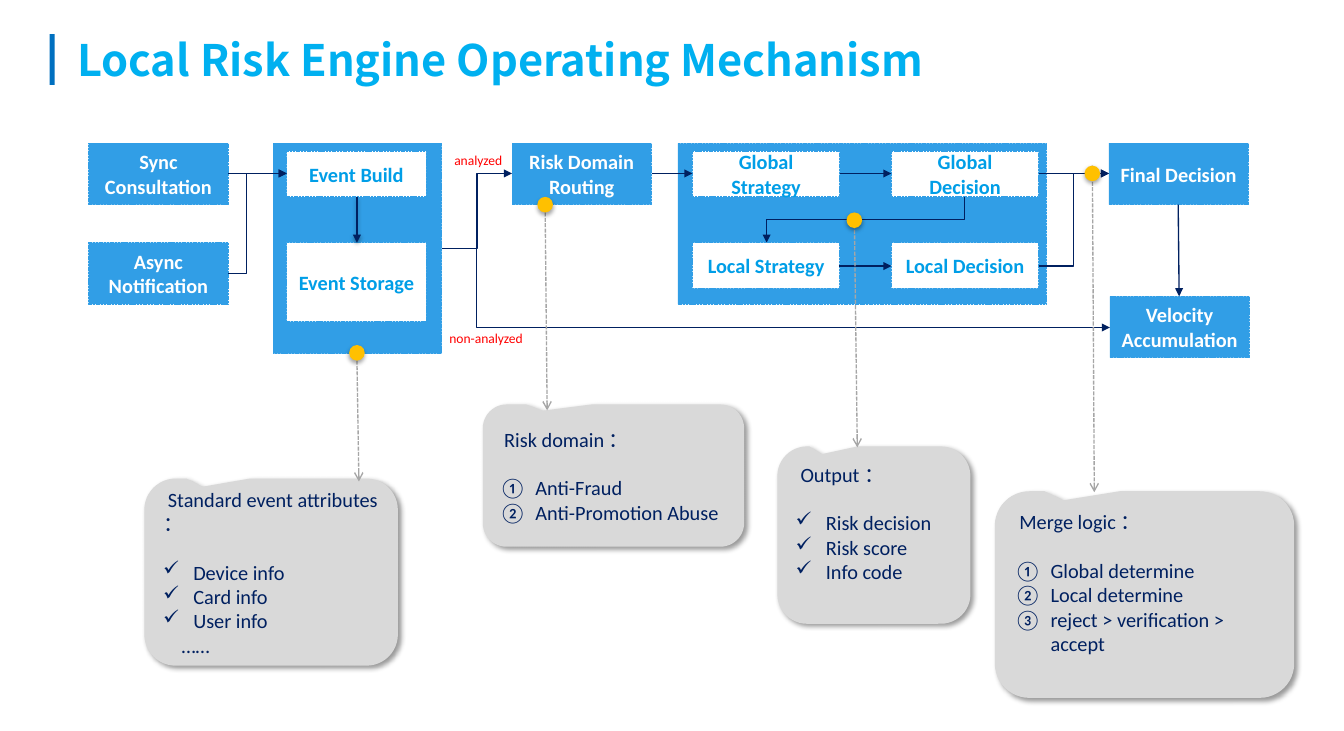
from lxml import etree
from pptx import Presentation
from pptx.dml.color import RGBColor
from pptx.enum.dml import MSO_LINE
from pptx.enum.shapes import MSO_CONNECTOR, MSO_SHAPE
from pptx.enum.text import MSO_ANCHOR, MSO_AUTO_SIZE, PP_ALIGN
from pptx.oxml.ns import qn
from pptx.util import Inches, Pt

RECTANGLE, OVAL = MSO_SHAPE.RECTANGLE, MSO_SHAPE.OVAL
CALLOUT = MSO_SHAPE.ROUNDED_RECTANGULAR_CALLOUT
STRAIGHT, ELBOW = MSO_CONNECTOR.STRAIGHT, MSO_CONNECTOR.ELBOW
SQUARE_DOT = MSO_LINE.SQUARE_DOT
LEFT, CENTER, MIDDLE = PP_ALIGN.LEFT, PP_ALIGN.CENTER, MSO_ANCHOR.MIDDLE
NO_FIT, GROW = MSO_AUTO_SIZE.NONE, MSO_AUTO_SIZE.SHAPE_TO_FIT_TEXT

BLUE, WHITE, NAVY, SKY = "319EE6", "FFFFFF", "002060", "009EE7"
GRAY, PALE, AMBER, RED = "A6A6A6", "D9D9D9", "FFC000", "FF0000"
NUMBERS, TICKS = 0.37, 0.31  # hanging indents, which also tell the bullet kind


def color(hex_text):
    return RGBColor.from_string(hex_text)


def add_element(parent, tag, **attributes):
    element = etree.SubElement(parent, qn(tag))
    for name, value in attributes.items():
        element.set(name, str(value))
    return element


def write(paragraph, text, size=15, fill=NAVY, font="Calibri", bold=False,
          align=LEFT, spacing=None, after=0):
    paragraph.alignment = align
    paragraph.space_after = Pt(after)
    if spacing:
        paragraph.line_spacing = spacing
    run = paragraph.add_run()
    run.text = text
    run.font.size, run.font.bold, run.font.name = Pt(size), bold, font
    run.font.color.rgb = color(fill)
    add_element(run.font._element, "a:ea", typeface=font)


def indent(paragraph, margin, first_line):
    properties = paragraph._p.get_or_add_pPr()
    properties.set("marL", str(Inches(margin)))
    properties.set("indent", str(Inches(first_line)))
    return properties


def add_bullet(paragraph, hanging):
    properties = indent(paragraph, hanging, -hanging)
    if hanging == NUMBERS:
        add_element(properties, "a:buFont", typeface="+mj-lt")
        add_element(properties, "a:buAutoNum", type="circleNumWdBlackPlain")
    else:
        add_element(properties, "a:buChar", char="✓")


def add_shadow(effects, alpha, blur, distance, angle):
    shadow = add_element(effects, "a:outerShdw", blurRad=Pt(blur), dist=Pt(distance),
                         dir=angle * 60000, rotWithShape=0)
    black = add_element(shadow, "a:srgbClr", val="000000")
    add_element(black, "a:alpha", val=alpha * 1000)


class FlowSlide:
    def __init__(self, presentation):
        self.slide = presentation.slides.add_slide(presentation.slide_layouts[5])
        self.shapes = self.slide.shapes

    def title(self, text):
        title = self.shapes.title
        title.left, title.top = Inches(0.69), Inches(0.26)
        title.width, title.height = Inches(12.4), Inches(0.69)
        frame = title.text_frame
        frame.vertical_anchor, frame.auto_size = MIDDLE, NO_FIT
        write(frame.paragraphs[0], text, size=32, fill="00B0F0",
              font="Noto Sans CJK SC", bold=True)

    def shape(self, kind, left, top, width, height, fill, shadow=None):
        shape = self.shapes.add_shape(kind, Inches(left), Inches(top),
                                      Inches(width), Inches(height))
        shape.shadow.inherit = False
        shape.fill.solid()
        shape.fill.fore_color.rgb = color(fill)
        shape.line.fill.background()
        if shadow:
            add_shadow(shape._element.spPr.find(qn("a:effectLst")), *shadow)
        return shape

    def box(self, left, top, width, height, text="", fill=BLUE):
        box = self.shape(RECTANGLE, left, top, width, height, fill)
        box.line.color.rgb = color(BLUE)
        box.line.width, box.line.dash_style = Pt(0.5), SQUARE_DOT
        if text:
            frame = box.text_frame
            frame.word_wrap, frame.vertical_anchor = True, MIDDLE
            write(frame.paragraphs[0], text, bold=True, align=CENTER,
                  fill=WHITE if fill == BLUE else SKY)

    def arrow(self, x1, y1, x2, y2, kind=STRAIGHT, line=NAVY, head="triangle",
              bend=None, downward=False, shadow=None):
        if downward:  # an elbow that leaves vertically is a rotated one
            across, down = abs(x2 - x1), y2 - y1
            x1, y1 = (x1 + x2 - down) / 2, (y1 + y2 - across) / 2
            x2, y2 = x1 + down, y1 + across
        connector = self.shapes.add_connector(kind, Inches(x1), Inches(y1),
                                              Inches(x2), Inches(y2))
        properties = connector._element.spPr
        if downward:
            properties.find(qn("a:xfrm")).set("rot", str(90 * 60000))
        if bend:
            guides = properties.find(qn("a:prstGeom")).find(qn("a:avLst"))
            add_element(guides, "a:gd", name="adj1", fmla=f"val {round(bend * 100000)}")
        connector.line.color.rgb = color(line)
        connector.line.width = Pt(1)
        if line == GRAY:
            connector.line.dash_style = SQUARE_DOT
        add_element(properties.find(qn("a:ln")), "a:tailEnd", type=head)
        effects = add_element(properties, "a:effectLst")
        if shadow:
            add_shadow(effects, *shadow)

    def callout(self, left, top, width, height, heading, items, hanging,
                ending="", space_below=0.0):
        callout = self.shape(CALLOUT, left, top, width, height, PALE, (40, 4, 3, 45))
        for index, value in enumerate((-0.271, -0.456, 0.167)):
            callout.adjustments[index] = value
        frame = callout.text_frame
        frame.word_wrap, frame.vertical_anchor = True, MIDDLE
        frame.margin_bottom = Inches(0.05 + space_below)
        indent(frame.paragraphs[0], 0, 0.05)
        write(frame.paragraphs[0], heading, after=18)
        for item in items:
            paragraph = frame.add_paragraph()
            add_bullet(paragraph, hanging)
            write(paragraph, item)
        if ending:
            paragraph = frame.add_paragraph()
            indent(paragraph, 0.19, 0)
            write(paragraph, ending)

    def marker(self, x, y):
        self.shape(OVAL, x - 0.08, y - 0.08, 0.16, 0.16, AMBER, (35, 3.1, 1.8, 90))

    def label(self, left, top, width, text):
        label = self.shapes.add_textbox(Inches(left), Inches(top), Inches(width), Inches(0.31))
        label.text_frame.word_wrap = True
        label.text_frame.auto_size = GROW
        write(label.text_frame.paragraphs[0], text, size=10, fill=RED, spacing=1.3)


def main():
    presentation = Presentation()
    presentation.slide_width, presentation.slide_height = Inches(13.78), Inches(7.5)
    flow = FlowSlide(presentation)

    # Title with its accent bar
    flow.shape(RECTANGLE, 0.51, 0.35, 0.05, 0.52, "0070C0")
    flow.title("Local Risk Engine Operating Mechanism")

    # Containers and process steps
    flow.box(6.95, 1.47, 3.78, 1.65)
    flow.box(2.8, 1.47, 1.73, 2.16)
    for left, top, text in (
            (0.91, 1.47, "Sync Consultation"), (0.91, 2.49, "Async Notification"),
            (5.25, 1.47, "Risk Domain Routing"), (11.37, 1.47, "Final Decision"),
            (11.38, 3.04, "Velocity Accumulation")):
        flow.box(left, top, 1.43, 0.63, text)
    flow.box(2.94, 1.55, 1.43, 0.47, "Event Build", WHITE)
    flow.box(2.94, 2.49, 1.43, 0.81, "Event Storage", WHITE)
    for top, scope in ((1.55, "Global"), (2.49, "Local")):
        for left, step in ((7.1, "Strategy"), (9.14, "Decision")):
            flow.box(left, top, 1.51, 0.47, f"{scope} {step}", WHITE)

    # Flow arrows
    for x1, x2, y in ((2.34, 2.94, 1.78), (6.69, 7.1, 1.78), (8.61, 9.14, 1.78),
                      (10.65, 11.37, 1.78), (8.6, 9.14, 2.73)):
        flow.arrow(x1, y, x2, y)
    flow.arrow(3.66, 2.02, 3.66, 2.49, shadow=(38, 3.1, 1.6, 90))
    flow.arrow(12.08, 2.1, 12.09, 3.04)
    flow.arrow(9.89, 2.02, 7.86, 2.49, ELBOW, downward=True)
    for x1, y1, x2, y2, bend in (
            (10.65, 2.73, 11.37, 1.78, 0.5), (2.34, 2.81, 2.94, 1.78, 0.308),
            (4.53, 2.55, 5.25, 1.78, 0.5), (4.53, 2.55, 11.38, 3.36, 0.052)):
        flow.arrow(x1, y1, x2, y2, ELBOW, bend=bend)
    flow.label(4.56, 1.46, 0.87, "analyzed")
    flow.label(4.51, 3.29, 1.3, "non-analyzed")

    # Explanations
    flow.callout(10.2, 5.04, 3.07, 2.12, "Merge logic ：",
                 ("Global determine", "Local determine", "reject > verification > accept"),
                 NUMBERS, space_below=0.25)
    flow.callout(7.97, 4.58, 1.98, 1.82, "Output ：",
                 ("Risk decision", "Risk score", "Info code"), TICKS, space_below=0.25)
    flow.callout(1.48, 4.91, 2.6, 1.92, "Standard event attributes ：",
                 ("Device info", "Card info", "User info"), TICKS, ending="……")
    flow.callout(4.95, 4.15, 2.68, 1.46, "Risk domain ：",
                 ("Anti-Fraud", "Anti-Promotion Abuse"), NUMBERS)

    # Markers and their pointers to the explanations
    for x, y, start, end_x, end_y in (
            (11.2, 1.78, 1.7, 11.22, 5.05), (8.76, 2.26, 2.25, 8.79, 4.59),
            (5.59, 2.1, 2.18, 5.61, 4.21), (3.66, 3.62, 3.7, 3.68, 4.94)):
        flow.arrow(x, start, end_x, end_y, line=GRAY, head="arrow")
        flow.marker(x, y)

    presentation.save("out.pptx")


if __name__ == "__main__":
    main()
